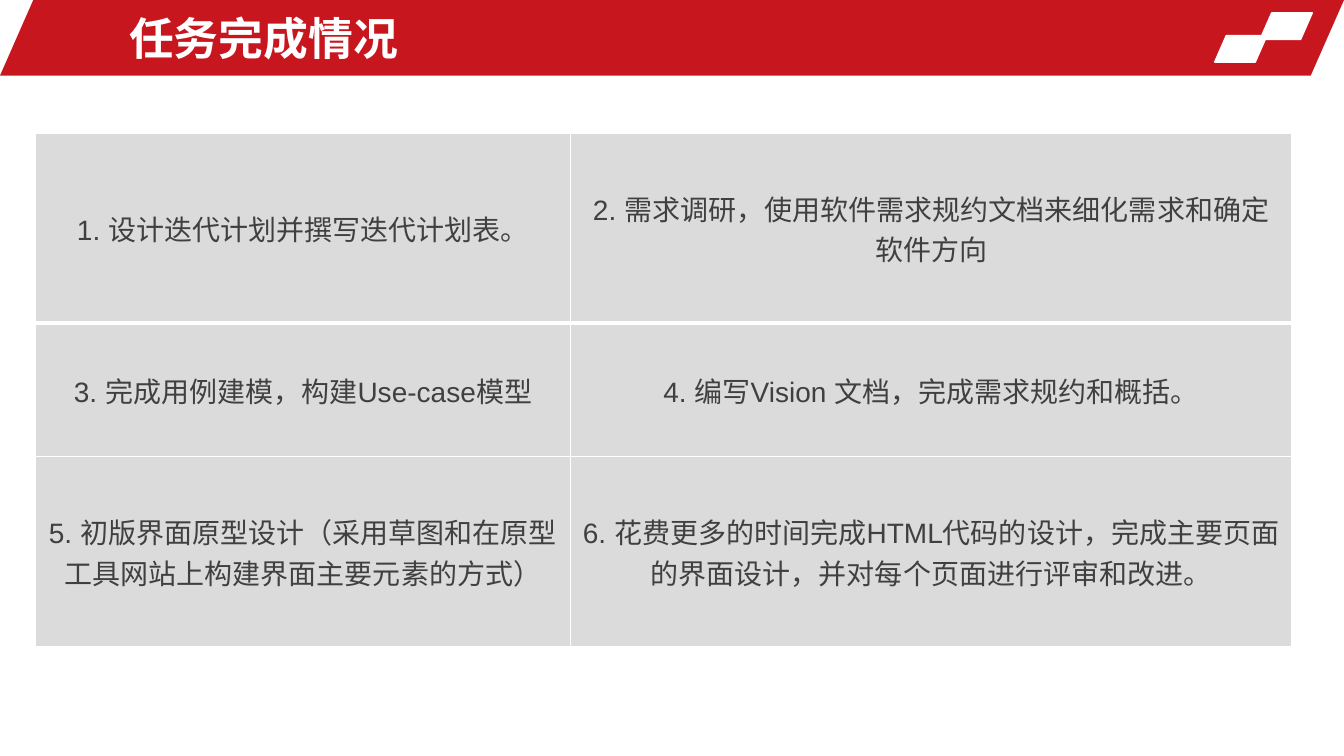
"""Build the task completion slide: a red title banner above a six-item table."""
import pptx
import pptx.dml.color
import pptx.enum.shapes
import pptx.enum.text
import pptx.oxml
import pptx.oxml.ns
import pptx.util

Pt = pptx.util.Pt
RED = pptx.dml.color.RGBColor(0xC8, 0x16, 0x1E)
WHITE = pptx.dml.color.RGBColor(0xFF, 0xFF, 0xFF)
GRAY = pptx.dml.color.RGBColor(0xDB, 0xDB, 0xDB)
DARK = pptx.dml.color.RGBColor(0x40, 0x40, 0x40)
MIDDLE = pptx.enum.text.MSO_ANCHOR.MIDDLE


def set_font(font, color, **values):
    font.color.rgb = color
    for name, value in values.items():
        setattr(font, name, value)


def add_border(cell, side, width):
    cell._tc.get_or_add_tcPr().append(pptx.oxml.parse_xml(
        f'<a:ln{side} {pptx.oxml.ns.nsdecls("a")} w="{Pt(width)}"><a:solidFill>'
        f'<a:srgbClr val="{WHITE}"/></a:solidFill></a:ln{side}>'))


prs = pptx.Presentation()
prs.slide_width, prs.slide_height = Pt(960), Pt(540)
s = prs.slides.add_slide(prs.slide_layouts[5])

banner_parts = [
    (0, 0, 960, 54, RED, False),
    (900, 9.2, 37.4, 19, WHITE, True),
    (867.6, 25.4, 37.4, 19, WHITE, True),
]
for left, top, width, height, color, outlined in banner_parts:
    sp = s.shapes.add_shape(pptx.enum.shapes.MSO_SHAPE.PARALLELOGRAM,
                            Pt(left), Pt(top), Pt(width), Pt(height))
    sp.adjustments[0] = 0.44
    sp.shadow.inherit = False
    sp.fill.solid()
    sp.fill.fore_color.rgb = color
    if outlined:
        sp.line.color.rgb = color
        sp.line.width = Pt(1)
    else:
        sp.line.fill.background()

title = s.shapes.title
title.element.getparent().append(title.element)
title_box = {"left": 85, "top": 3.6, "width": 557, "height": 46.8}
for name, value in title_box.items():
    setattr(title, name, Pt(value))
tf = title.text_frame
tf.text = "任务完成情况"
tf.word_wrap = True
tf.auto_size = pptx.enum.text.MSO_AUTO_SIZE.NONE
tf.vertical_anchor = MIDDLE
p = tf.paragraphs[0]
p.alignment = pptx.enum.text.PP_ALIGN.LEFT
set_font(p.runs[0].font, WHITE, name="Arial", size=Pt(32), bold=True)

tasks = [
    ["1. 设计迭代计划并撰写迭代计划表。",
     "2. 需求调研，使用软件需求规约文档来细化需求和确定软件方向"],
    ["3. 完成用例建模，构建Use-case模型",
     "4. 编写Vision 文档，完成需求规约和概括。"],
    ["5. 初版界面原型设计（采用草图和在原型工具网站上构建界面主要元素的方式）",
     "6. 花费更多的时间完成HTML代码的设计，完成主要页面的界面设计，并对每个页面进行评审和改进。"],
]
col_widths = [382, 515.5]
row_heights = [136, 95, 136]
table = s.shapes.add_table(len(row_heights), len(col_widths), Pt(25.4), Pt(95),
                           Pt(sum(col_widths)), Pt(sum(row_heights))).table
table.first_row = table.horz_banding = False
for column, width in zip(table.columns, col_widths):
    column.width = Pt(width)
for i, (row, height) in enumerate(zip(table.rows, row_heights)):
    row.height = Pt(height)
    borders = {"L": 1, "R": 1, "T": 3 if i == 1 else 1, "B": 3 if i == 0 else 1}
    for cell, task in zip(row.cells, tasks[i]):
        for side, width in borders.items():
            add_border(cell, side, width)
        cell.fill.solid()
        cell.fill.fore_color.rgb = GRAY
        cell.vertical_anchor = MIDDLE
        cell.text = task
        p = cell.text_frame.paragraphs[0]
        p.alignment = pptx.enum.text.PP_ALIGN.CENTER
        set_font(p.runs[0].font, DARK, name="Arial", size=Pt(20), bold=False)

prs.save("out.pptx")
